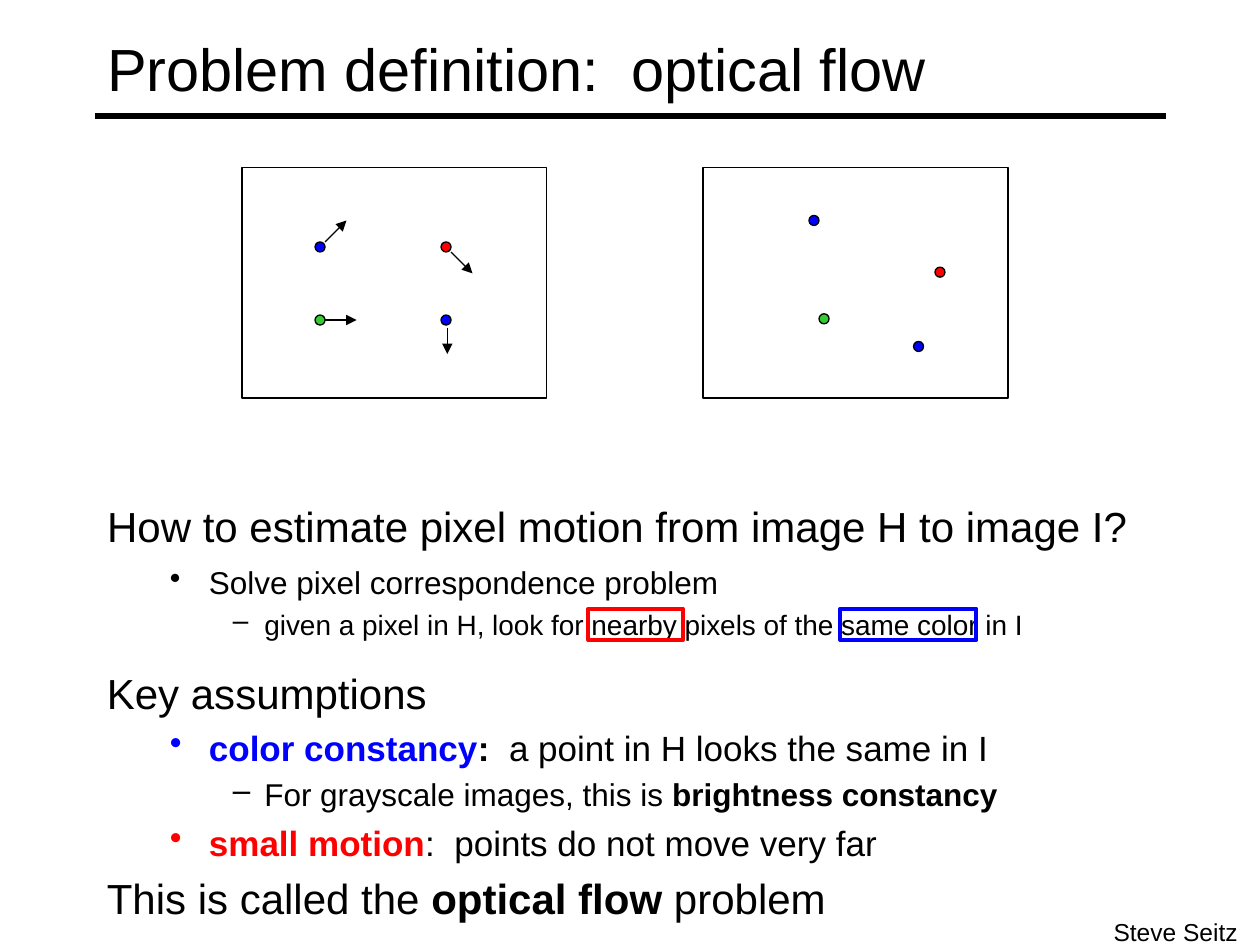
import pptx
import pptx.dml.color
import pptx.enum.shapes
import pptx.enum.text
import pptx.oxml.ns
import pptx.util
from lxml import etree

Inches = pptx.util.Inches
Pt = pptx.util.Pt
BLACK = pptx.dml.color.RGBColor(0x00, 0x00, 0x00)
WHITE = pptx.dml.color.RGBColor(0xFF, 0xFF, 0xFF)
BLUE = pptx.dml.color.RGBColor(0x00, 0x00, 0xFF)
RED = pptx.dml.color.RGBColor(0xFF, 0x00, 0x00)
GREEN = pptx.dml.color.RGBColor(0x33, 0xCC, 0x33)

RECTANGLE = pptx.enum.shapes.MSO_SHAPE.RECTANGLE
OVAL = pptx.enum.shapes.MSO_SHAPE.OVAL
LEFT, WIDTH = 0.75, 8.5
DOT = 0.08
LEVELS = [(0.38, -0.38, None), (0.81, -0.31, "•"), (1.25, -0.25, "–")]
FRAME_FORMAT = {
    "word_wrap": True,
    "auto_size": pptx.enum.text.MSO_AUTO_SIZE.NONE,
    "vertical_anchor": pptx.enum.text.MSO_ANCHOR.TOP,
}


def set_format(target, values):
    """Set each named attribute of the target."""
    for name, value in values.items():
        setattr(target, name, value)


def place(shape, box):
    """Move a shape to a box of left, top, width and height in inches."""
    set_format(shape, dict(zip(("left", "top", "width", "height"), map(Inches, box))))


def add_run(paragraph, text, size, color=BLACK, bold=False):
    """Append a formatted run to a paragraph."""
    run = paragraph.add_run()
    run.text = text
    set_format(run.font, {"name": "Arial", "size": Pt(size), "bold": bold})
    run.font.color.rgb = color


def write_outline(frame, items):
    """Fill a text frame with items of level, size and runs."""
    set_format(frame, FRAME_FORMAT)
    for index, (level, size, runs) in enumerate(items):
        paragraph = frame.add_paragraph() if index else frame.paragraphs[0]
        set_format(paragraph, {
            "level": level,
            "alignment": pptx.enum.text.PP_ALIGN.LEFT,
            "space_before": Pt(0.23 * size if index else 0),
        })
        margin, indent, bullet = LEVELS[level]
        properties = paragraph._p.get_or_add_pPr()
        properties.set("marL", str(Inches(margin)))
        properties.set("indent", str(Inches(indent)))
        tag = "a:buChar" if bullet else "a:buNone"
        mark = etree.SubElement(properties, pptx.oxml.ns.qn(tag))
        if bullet:
            mark.set("char", bullet)
        for text, *style in runs:
            add_run(paragraph, text, size, *style)


def add_outline(slide, box, items):
    """Add a text box that holds an outline."""
    outline = slide.shapes.add_textbox(*map(Inches, box))
    write_outline(outline.text_frame, items)


def add_outlined(slide, kind, box, fill, line_color=BLACK, line_width=0.75):
    """Add a preset shape with a plain outline and an optional fill."""
    shape = slide.shapes.add_shape(kind, *map(Inches, box))
    shape.shadow.inherit = False
    if fill is None:
        shape.fill.background()
    else:
        shape.fill.solid()
        shape.fill.fore_color.rgb = fill
    shape.line.color.rgb = line_color
    shape.line.width = Pt(line_width)


def add_line(slide, start, end, width, arrow=False):
    """Add a black straight line, with an arrowhead at its end on request."""
    line = slide.shapes.add_connector(
        pptx.enum.shapes.MSO_CONNECTOR.STRAIGHT, *map(Inches, (*start, *end)))
    line.line.color.rgb = BLACK
    line.line.width = Pt(width)
    if arrow:
        tail = etree.SubElement(line.line._get_or_add_ln(), pptx.oxml.ns.qn("a:tailEnd"))
        tail.set("type", "triangle")
    etree.SubElement(line._element.spPr, pptx.oxml.ns.qn("a:effectLst"))


def add_title(slide, box):
    """Write the title with the rule beneath it."""
    left, top, width, height = box
    title = slide.shapes.title
    place(title, box)
    set_format(title.text_frame, {
        **FRAME_FORMAT, "vertical_anchor": pptx.enum.text.MSO_ANCHOR.MIDDLE})
    heading = title.text_frame.paragraphs[0]
    heading.alignment = pptx.enum.text.PP_ALIGN.LEFT
    add_run(heading, "Problem definition:  optical flow", 34)
    rule = top + height - 0.08
    add_line(slide, (left, rule), (left + width, rule), 3)


def add_image(slide, box, pixels, motions=()):
    """Draw an image frame with its pixels and their motion arrows."""
    left, top = box[:2]
    add_outlined(slide, RECTANGLE, box, WHITE)
    for x, y, color in pixels:
        add_outlined(slide, OVAL, (left + x, top + y, DOT, DOT), color)
    for x, y, dx, dy in motions:
        start = left + x, top + y
        add_line(slide, start, (start[0] + dx, start[1] + dy), 0.75, arrow=True)


def add_question(slide, box):
    """Write the question, its answer and the two highlighted terms."""
    left, top, width, height = box
    body = slide.placeholders[1]
    place(body, box)
    write_outline(body.text_frame, [
        (0, 24, [("How to estimate pixel motion from image H to image I?",)])])
    add_outline(slide, (left, top + 0.5, width, 0.83), [
        (1, 18, [("Solve pixel correspondence problem",)]),
        (2, 16, [("given a pixel in H, look for nearby pixels of the same color in I",)]),
    ])
    for x, term_width, color in [(3.92, 0.75, RED), (5.92, 1.08, BLUE)]:
        term_box = (left + x, top + 0.91, term_width, 0.25)
        add_outlined(slide, RECTANGLE, term_box, None, color, 2.25)


def add_assumptions(slide, box):
    """Write the key assumptions and the name of the problem."""
    add_outline(slide, box, [
        (0, 24, [("Key assumptions",)]),
        (1, 20, [("color constancy", BLUE, True), (":  ", BLACK, True),
                 ("a point in H looks the same in I",)]),
        (2, 18, [("For grayscale images, this is ",),
                 ("brightness constancy", BLACK, True)]),
        (1, 20, [("small motion", RED, True), (":  points do not move very far",)]),
        (0, 24, [("This is called the ",), ("optical flow", BLACK, True), (" problem",)]),
    ])


def add_credit(slide, box):
    """Write the author's name in the corner."""
    credit = slide.shapes.add_textbox(*map(Inches, box))
    set_format(credit.text_frame, {**FRAME_FORMAT, "word_wrap": False})
    add_run(credit.text_frame.paragraphs[0], "Steve Seitz", 14)


def main():
    """Build and save the slide."""
    deck = pptx.Presentation()
    set_format(deck, {"slide_width": Inches(10), "slide_height": Inches(7.5)})
    slide = deck.slides.add_slide(deck.slide_layouts[1])
    add_title(slide, (LEFT, 0.08, WIDTH, 0.92))
    add_image(
        slide, (1.92, 1.33, 2.42, 1.83),
        [(0.58, 0.59, BLUE), (1.58, 0.59, RED), (0.58, 1.17, GREEN), (1.58, 1.17, BLUE)],
        [(0.66, 0.59, 0.17, -0.17), (0.66, 1.21, 0.25, 0),
         (1.66, 0.67, 0.17, 0.17), (1.63, 1.27, 0, 0.21)])
    add_image(
        slide, (5.58, 1.33, 2.42, 1.83),
        [(0.84, 0.38, BLUE), (1.84, 0.79, RED), (0.92, 1.16, GREEN), (1.67, 1.38, BLUE)])
    add_question(slide, (LEFT, 3.92, WIDTH, 1.08))
    add_assumptions(slide, (LEFT, 5.25, WIDTH, 2))
    add_credit(slide, (8.74, 7.23, 1.26, 0.27))
    deck.save("out.pptx")


if __name__ == "__main__":
    main()
